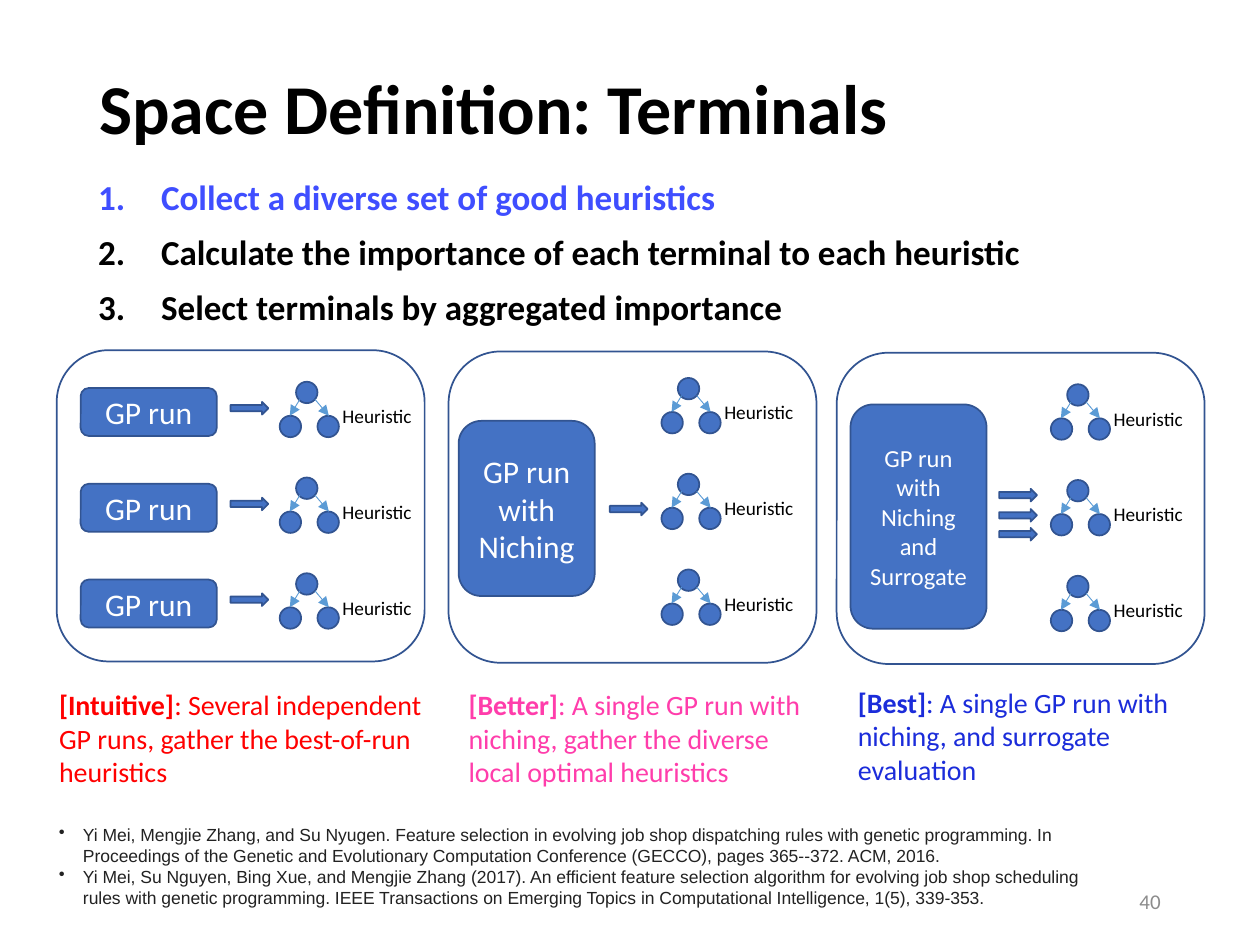
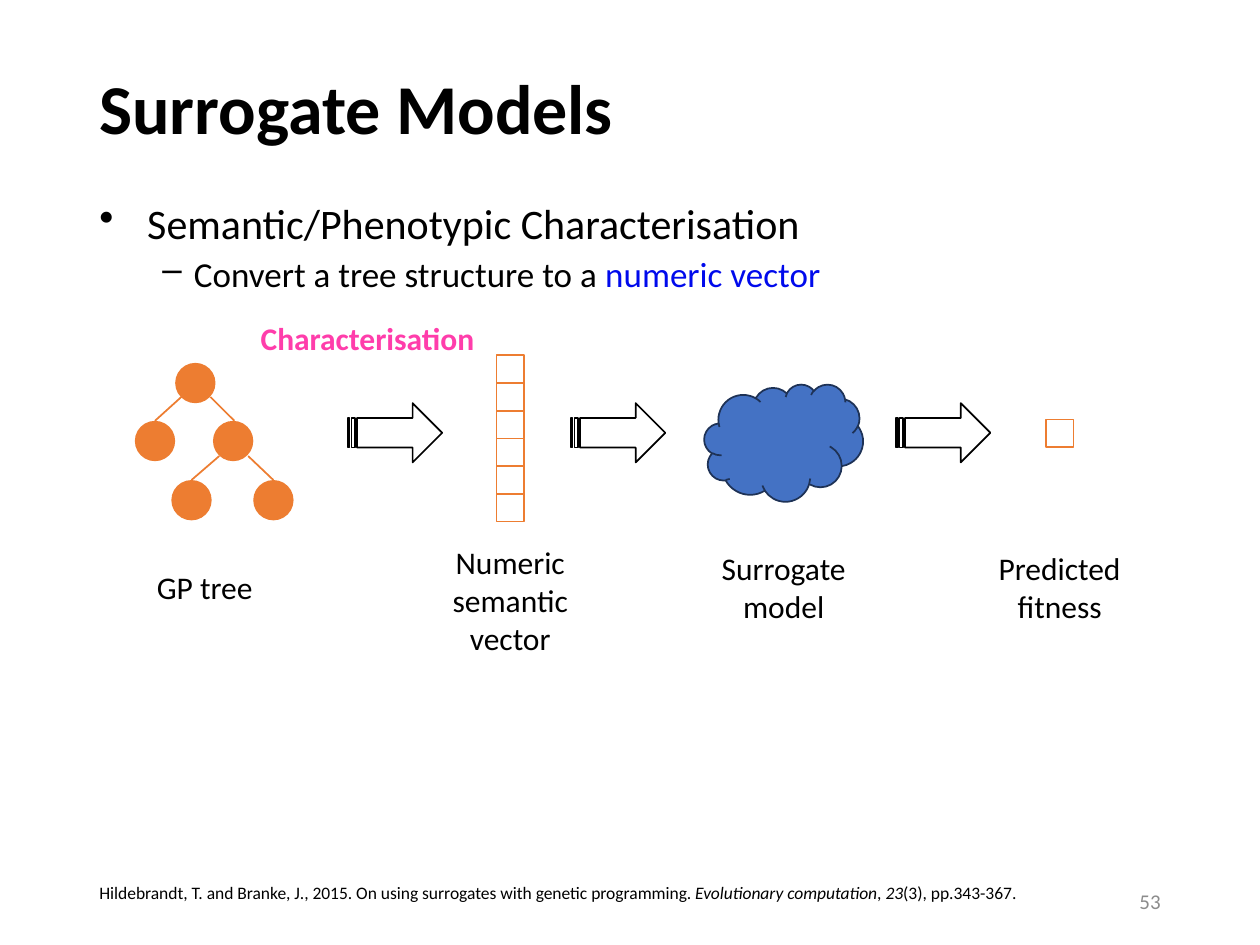
from lxml import etree
from pptx import Presentation
from pptx.dml.color import RGBColor
from pptx.enum.shapes import MSO_CONNECTOR, MSO_SHAPE
from pptx.enum.text import MSO_ANCHOR, PP_ALIGN
from pptx.oxml.ns import qn
from pptx.util import Inches, Pt

RECT, ROUND, OVAL = MSO_SHAPE.RECTANGLE, MSO_SHAPE.ROUNDED_RECTANGLE, MSO_SHAPE.OVAL
ARROW, STRIPED, CLOUD = MSO_SHAPE.RIGHT_ARROW, MSO_SHAPE.STRIPED_RIGHT_ARROW, MSO_SHAPE.CLOUD
LEFT, CENTER, RIGHT = PP_ALIGN.LEFT, PP_ALIGN.CENTER, PP_ALIGN.RIGHT
TOP, MIDDLE = MSO_ANCHOR.TOP, MSO_ANCHOR.MIDDLE

BLACK = RGBColor(0x00, 0x00, 0x00)
WHITE = RGBColor(0xFF, 0xFF, 0xFF)
GREY = RGBColor(0x8C, 0x8C, 0x8C)
INK = RGBColor(0x22, 0x22, 0x22)
BLUE = RGBColor(0x44, 0x72, 0xC4)
BLUE_EDGE = RGBColor(0x32, 0x54, 0x91)
CLOUD_EDGE = RGBColor(0x1E, 0x32, 0x56)
SKY = RGBColor(0x5B, 0x9B, 0xD5)
ORANGE = RGBColor(0xED, 0x7D, 0x31)
RED = RGBColor(0xFF, 0x00, 0x00)
PINK = RGBColor(0xFF, 0x3D, 0xAB)
BEST_BLUE = RGBColor(0x1B, 0x2C, 0xDA)
STEP_BLUE = RGBColor(0x3F, 0x4E, 0xFF)
VECTOR_BLUE = RGBColor(0x00, 0x0A, 0xEC)


def box(s, kind, at, fill=None, line=None):
    """Add a preset shape, or a text box when kind is None."""
    at = [Inches(v) for v in at]
    if kind is None:
        return s.shapes.add_textbox(*at)
    sp = s.shapes.add_shape(kind, *at)
    sp.shadow.inherit = False
    if fill is None:
        sp.fill.background()
    else:
        sp.fill.solid()
        sp.fill.fore_color.rgb = fill
    if line is None:
        sp.line.fill.background()
    else:
        sp.line.color.rgb = line
        sp.line.width = Pt(1)
    return sp


def write(sp, paras, size, color=BLACK, align=LEFT, anchor=TOP, bullets=(),
          wrap=True, font="Calibri"):
    """Fill sp with paragraphs of (text, style, color) runs; style holds b and/or i.

    bullets gives (mark, left margin, indent) for each paragraph.
    """
    tf = sp.text_frame
    tf.word_wrap = wrap
    tf.vertical_anchor = anchor
    for i, runs in enumerate(paras):
        p = tf.paragraphs[0] if i == 0 else tf.add_paragraph()
        if bullets:
            mark, margin, indent = bullets[i]
            pPr = p._p.get_or_add_pPr()
            pPr.set("marL", str(Inches(margin)))
            pPr.set("indent", str(Inches(indent)))
            if mark == "1.":
                etree.SubElement(pPr, qn("a:buAutoNum"), type="arabicPeriod")
            elif mark:
                etree.SubElement(pPr, qn("a:buChar"), char=mark)
        p.alignment = align
        for text, style, run_color in runs:
            r = p.add_run()
            r.text = text
            r.font.name = font
            r.font.size = Pt(size)
            r.font.bold = "b" in style
            r.font.italic = "i" in style
            r.font.color.rgb = run_color or color
    return tf


prs = Presentation()
prs.slide_width, prs.slide_height = Inches(10), Inches(7.5)
slides = []
for title, number in [("Space Definition: Terminals", "40"), ("Surrogate Models", "53")]:
    s = prs.slides.add_slide(prs.slide_layouts[6])
    tf = write(box(s, None, (0.69, 0.4, 8.62, 0.97)), [[(title, "b", None)]], 40, anchor=MIDDLE)
    tf.paragraphs[0].line_spacing = 0.9
    write(box(s, None, (7.06, 6.95, 2.25, 0.4)), [[(number, "", None)]], 12, GREY, RIGHT, MIDDLE)
    slides.append(s)
terminals, surrogate = slides
branches = []  # slide, start, end, color, width, arrowhead

# Terminals: steps
s = terminals
steps = [("Collect a diverse set of good heuristics", STEP_BLUE),
         ("Calculate the importance of each terminal to each heuristic", BLACK),
         ("Select terminals by aggregated importance", BLACK)]
tf = write(box(s, None, (0.68, 1.38, 8.62, 1.35)), [[(text, "b", c)] for text, c in steps], 20,
           bullets=[("1.", 0.5, -0.5)] * 3)
for i, p in enumerate(tf.paragraphs):
    p.line_spacing = 0.9
    p.space_before = Pt(10 if i else 0)

# Terminals: three panels, each with three heuristic trees
ROW = 0.76
NODE = 0.17
panels = [  # panel corner, first root, run label, size, run boxes, arrows
    ((0.45, 2.78), (2.35, 3.03), "GP run", 18,
     [(0.64, 3.08 + i * ROW, 1.08, 0.38) for i in range(3)],
     [(1.83, 3.19 + i * ROW) for i in range(3)]),
    ((3.56, 2.79), (5.38, 3.0), "GP run with Niching", 18,
     [(3.64, 3.34, 1.08, 1.39)], [(4.84, 3.99)]),
    ((6.64, 2.8), (8.47, 3.05), "GP run with Niching and Surrogate", 14,
     [(6.75, 3.21, 1.08, 1.78)], [(7.93, y) for y in (3.88, 4.04, 4.19)]),
]
for corner, (x, first_y), label, size, runs, arrows in panels:
    box(s, ROUND, (*corner, 2.92, 2.47), line=BLUE_EDGE)
    for at in runs:
        write(box(s, ROUND, at, BLUE, BLUE_EDGE), [[(label, "", None)]], size, WHITE,
              CENTER, MIDDLE)
    for at in arrows:
        box(s, ARROW, (*at, 0.3, 0.1), BLUE, BLUE_EDGE)
    for i in range(3):
        y = first_y + i * ROW
        for dx, dy in [(0, 0), (-0.13, 0.27), (0.17, 0.27)]:
            box(s, OVAL, (x + dx, y + dy, NODE, NODE), BLUE, BLUE_EDGE)
        for x1, x2 in [(0.03, -0.05), (0.15, 0.26)]:
            branches.append((s, (x + x1, y + 0.14), (x + x2, y + 0.27), SKY, 0.5, True))
        write(box(s, None, (x + 0.27, y + 0.13, 0.76, 0.29)), [[("Heuristic", "", None)]], 11,
              wrap=False)

# Terminals: captions and references
captions = [
    ((0.37, 5.41, 3.09, 0.91), 0, RED, "[Intuitive]",
     ": Several independent GP runs, gather the best-of-run heuristics"),
    ((3.12, 5.41, 3.45, 0.91), 0.5, PINK, "[Better]",
     ": A single GP run with niching, gather the diverse local optimal heuristics"),
    ((6.21, 5.39, 3.45, 0.91), 0.5, BEST_BLUE, "[Best]",
     ": A single GP run with niching, and surrogate evaluation"),
]
for at, margin, color, name, text in captions:
    write(box(s, None, at), [[(name, "b", None), (text, "", None)]], 16, color,
          bullets=[(None, margin, 0)])
references = [
    "Yi Mei, Mengjie Zhang, and Su Nyugen. Feature selection in evolving job shop dispatching "
    "rules with genetic programming. In Proceedings of the Genetic and Evolutionary Computation "
    "Conference (GECCO), pages 365--372. ACM, 2016.",
    "Yi Mei, Su Nguyen, Bing Xue, and Mengjie Zhang (2017). An efficient feature selection "
    "algorithm for evolving job shop scheduling rules with genetic programming. IEEE Transactions "
    "on Emerging Topics in Computational Intelligence, 1(5), 339-353.",
]
write(box(s, RECT, (0.37, 6.49, 8.34, 0.77), WHITE), [[(text, "", None)] for text in references],
      10, INK, bullets=[("•", 0.19, -0.19)] * 2, font="Arial")

# Surrogate models: bullets
s = surrogate
tf = write(box(s, None, (0.69, 1.56, 8.62, 0.9)),
           [[("Semantic/Phenotypic Characterisation", "", None)],
            [("Convert a tree structure to a ", "", None), ("numeric vector", "", VECTOR_BLUE)]],
           24, bullets=[("•", 0.38, -0.38), ("–", 0.75, -0.25)])
for p in tf.paragraphs:
    p.line_spacing = 0.9
detail = tf.paragraphs[1]
detail.space_before = Pt(5)
for r in detail.runs:
    r.font.size = Pt(20)

# Surrogate models: tree, vector, model, fitness
for x, y in [(1.39, 2.88), (1.07, 3.34), (1.69, 3.34), (1.36, 3.81), (2.01, 3.81)]:
    box(s, OVAL, (x, y, 0.32, 0.32), ORANGE)
for x1, y1, x2, y2 in [(1.44, 3.15, 1.23, 3.34), (1.67, 3.15, 1.86, 3.34),
                       (1.74, 3.62, 1.52, 3.81), (1.97, 3.62, 2.17, 3.81)]:
    branches.append((s, (x1, y1), (x2, y2), ORANGE, 1, False))
CELL = 0.22
for x, y in [(3.94, 2.82 + i * CELL) for i in range(6)] + [(8.3, 3.33)]:
    box(s, RECT, (x, y, CELL, CELL), WHITE, ORANGE)
box(s, CLOUD, (5.59, 3.05, 1.26, 0.93), BLUE, CLOUD_EDGE)
for x in (2.76, 4.53, 7.11):
    box(s, STRIPED, (x, 3.2, 0.75, 0.47), WHITE, BLACK)

labels = [("GP tree", (1.14, 4.46, 0.97, 0.4)),
          ("Numeric semantic vector", (3.21, 4.26, 1.68, 1.01)),
          ("Surrogate model", (5.43, 4.31, 1.58, 0.71)),
          ("Predicted fitness", (7.79, 4.31, 1.24, 0.71))]
for text, at in labels:
    write(box(s, None, at), [[(text, "", None)]], 18, align=CENTER, wrap=text != "GP tree")
write(box(s, None, (1.97, 2.48, 1.91, 0.4)), [[("Characterisation", "b", None)]], 18, PINK,
      wrap=False)
write(box(s, None, (0.69, 6.95, 8.62, 0.27)), [[
    ("Hildebrandt, T. and Branke, J., 2015. On using surrogates with genetic programming. ",
     "", None),
    ("Evolutionary computation", "i", None), (", ", "", None), ("23", "i", None),
    ("(3), pp.343-367.", "", None)]], 10)

# Tree branches on both slides
for s, start, end, color, width, arrowhead in branches:
    line = s.shapes.add_connector(MSO_CONNECTOR.STRAIGHT, *[Inches(v) for v in start + end])
    line.line.color.rgb = color
    line.line.width = Pt(width)
    if arrowhead:
        etree.SubElement(line.line._get_or_add_ln(), qn("a:tailEnd"), type="triangle")
    etree.SubElement(line._element.spPr, qn("a:effectLst"))

prs.save("out.pptx")
